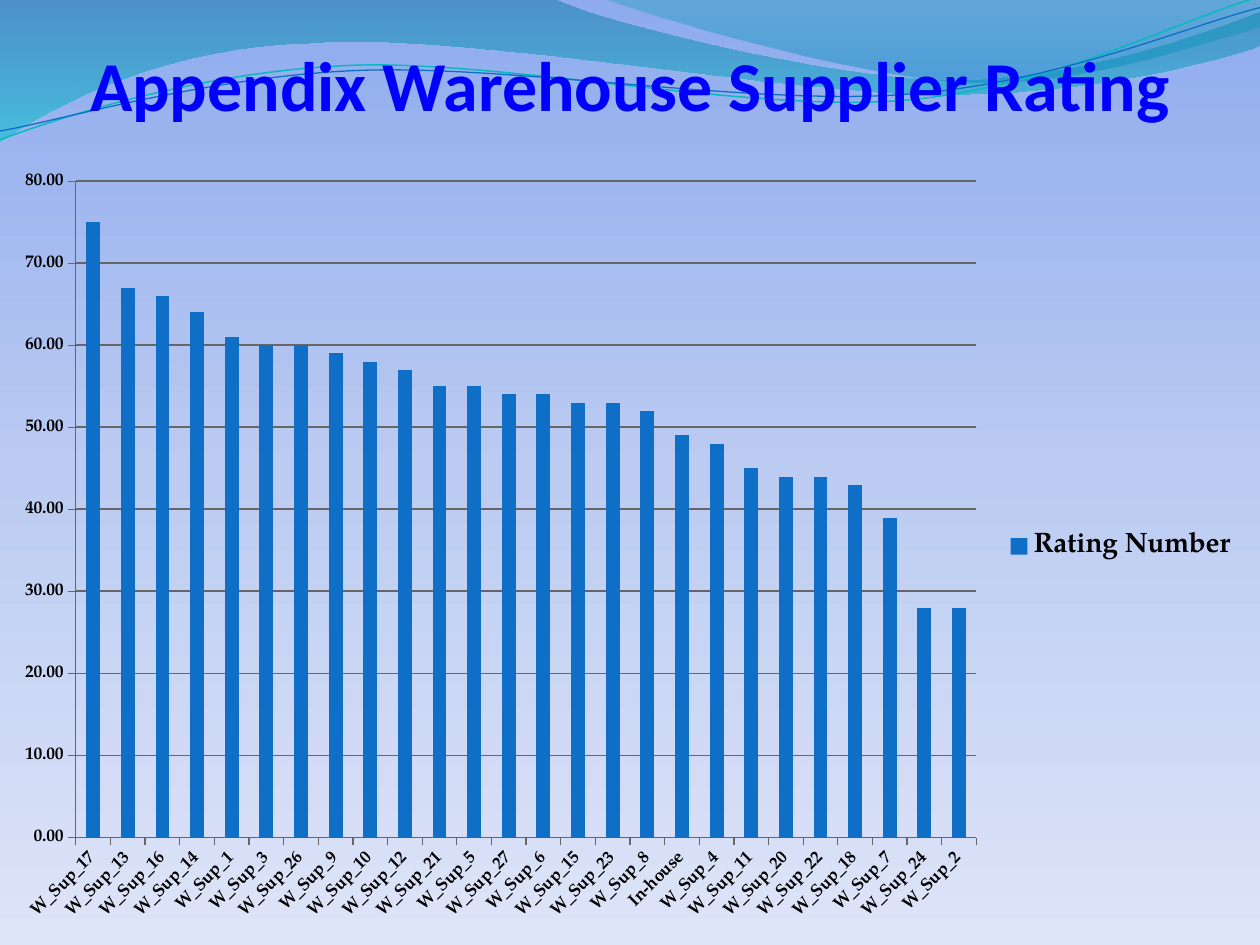
from lxml import etree
from pptx import Presentation
from pptx import util as u
from pptx.chart.data import CategoryChartData
from pptx.dml.color import RGBColor
from pptx.enum import chart as ch, text
from pptx.oxml.ns import qn

hex_color = RGBColor.from_string


def set_gradient(fill, element, stops):
    fill.gradient()
    fill.gradient_angle = 270
    stop_list = element.xpath(".//a:gsLst")[0]
    for old in list(stop_list):
        stop_list.remove(old)
    for position, color, opacity in stops:
        stop = etree.SubElement(stop_list, qn("a:gs"), pos=str(position * 1000))
        tint = etree.SubElement(stop, qn("a:srgbClr"), val=color)
        if opacity < 100:
            etree.SubElement(tint, qn("a:alpha"), val=str(opacity * 1000))


def add_wave(slide, start, segments, closed):
    points = [(u.Cm(x * 2.54), u.Cm(y * 2.54)) for segment in [start, *segments]
              for x, y in zip(segment[::2], segment[1::2])]
    builder = slide.shapes.build_freeform(*points[0])
    builder.add_line_segments(points[1:], close=closed)
    wave = builder.convert_to_shape()
    wave.shadow.inherit = False
    lines = iter(wave._element.xpath(".//a:lnTo"))
    for segment in segments:
        curve = next(lines)
        if len(segment) == 6:
            curve.tag = qn("a:cubicBezTo")
            for extra in (next(lines), next(lines)):
                curve.append(extra[0])
                extra.getparent().remove(extra)
    return wave


prs = Presentation()
prs.slide_width, prs.slide_height = u.Cm(25.4), u.Cm(19.05)
slide = prs.slides.add_slide(prs.slide_layouts[6])
set_gradient(slide.background.fill, slide._element,
             [(0, "8EABEE", 100), (50, "BBCBF2", 100), (100, "DEE5F8", 100)])

bands = [
    ((0, 0), [(4.4, -0.01), (4.76, 0.17, 6.64, 0.63, 7.58, 0.63),
              (8.53, 0.63, 9.58, 0.26, 10, 0.09), (10.01, 0.36),
              (9.83, 0.44, 8.7, 0.76, 7.46, 0.75), (6.22, 0.75, 3.82, 0.28, 2.57, 0.34),
              (1.29, 0.36, 0.46, 0.83, -0.01, 1.13), (0, 0)],
     [(0, "0074A1", 45), (100, "00C6CF", 55)]),
    ((4.79, -0.01), [(5.09, 0.11, 6.82, 0.62, 7.69, 0.65),
                     (8.56, 0.69, 9.61, 0.32, 10, 0.21), (10, 0), (4.79, -0.01)],
     [(0, "00A1A9", 30), (80, "008BBF", 45)]),
]
for start, segments, stops in bands:
    band = add_wave(slide, start, segments, True)
    set_gradient(band.fill, band._element, stops)
    band.line.fill.background()

strands = [
    ((0, 1.11), [(0.48, 0.93, 1.58, 0.57, 2.77, 0.52), (3.95, 0.47, 5.93, 0.89, 7.13, 0.8),
                 (8.33, 0.71, 9.38, 0.15, 9.98, -0.02)], "0AB8BF", 0.85),
    ((0, 1.04), [(0.47, 0.96, 1.64, 0.61, 2.83, 0.56), (4.03, 0.51, 5.97, 0.84, 7.17, 0.75),
                 (8.36, 0.67, 9.41, 0.21, 10, 0.06)], "0F6FC6", 0.75),
]
for start, segments, color, width in strands:
    strand = add_wave(slide, start, segments, False)
    strand.fill.background()
    strand.line.color.rgb = hex_color(color)
    strand.line.width = u.Pt(width)

title = slide.shapes.add_textbox(0, 0, u.Cm(25.4), u.Cm(2.54)).text_frame
title.word_wrap = True
title.vertical_anchor = text.MSO_ANCHOR.BOTTOM
title.margin_left = title.margin_right = title.margin_bottom = 0
title.text = "Appendix Warehouse Supplier Rating"
heading = title.paragraphs[0]
heading.alignment = text.PP_ALIGN.CENTER
heading_font = heading.runs[0].font
heading_font.name, heading_font.size, heading_font.bold = "Calibri", u.Pt(40), True
heading_font.color.rgb = hex_color("0000FF")

ratings = {
    "W_Sup_17": 75, "W_Sup_13": 67, "W_Sup_16": 66, "W_Sup_14": 64, "W_Sup_1": 61,
    "W_Sup_3": 60, "W_Sup_26": 60, "W_Sup_9": 59, "W_Sup_10": 58, "W_Sup_12": 57,
    "W_Sup_21": 55, "W_Sup_5": 55, "W_Sup_27": 54, "W_Sup_6": 54, "W_Sup_15": 53,
    "W_Sup_23": 53, "W_Sup_8": 52, "In-house": 49, "W_Sup_4": 48, "W_Sup_11": 45,
    "W_Sup_20": 44, "W_Sup_22": 44, "W_Sup_18": 43, "W_Sup_7": 39,
    "W_Sup_24": 28, "W_Sup_2": 28,
}
data = CategoryChartData(number_format="0.00")
data.categories = list(ratings)
data.add_series("Rating Number", list(ratings.values()))
chart = slide.shapes.add_chart(ch.XL_CHART_TYPE.COLUMN_CLUSTERED, 0, u.Cm(3.18),
                               u.Cm(25.2), u.Cm(15.67), data).chart
chart.has_title = False
chart.font.name, chart.font.size = "TeX Gyre Pagella", u.Pt(10)
chart.font.color.rgb = hex_color("000000")

plot = chart.plots[0]
plot.gap_width = 150
plot.vary_by_categories = False
bars = plot.series[0].format.fill
bars.solid()
bars.fore_color.rgb = hex_color("0F6FC6")

suppliers, scale = chart.category_axis, chart.value_axis
scale.minimum_scale, scale.maximum_scale, scale.major_unit = 0, 80, 10
scale.has_major_gridlines = True
scale.tick_labels.number_format = "0.00"
scale.tick_labels.number_format_is_linked = False
for axis in (suppliers, scale):
    axis.major_tick_mark = ch.XL_TICK_MARK.OUTSIDE
    axis.format.line.color.rgb = hex_color("666666")
    axis.format.line.width = u.Pt(0.75)
    label_font = axis.tick_labels.font
    label_font.name, label_font.size, label_font.bold = "TeX Gyre Pagella", u.Pt(10), True
    label_font.color.rgb = hex_color("000000")
scale.major_gridlines.format.line.color.rgb = hex_color("666666")
scale.major_gridlines.format.line.width = u.Pt(1)
suppliers._element.find(qn("c:txPr")).find(qn("a:bodyPr")).set("rot", "-2700000")

chart.has_legend = True
chart.legend.position = ch.XL_LEGEND_POSITION.RIGHT
chart.legend.include_in_layout = False
legend_font = chart.legend.font
legend_font.name, legend_font.size, legend_font.bold = "TeX Gyre Pagella", u.Pt(16), True
legend_font.color.rgb = hex_color("000000")

prs.save("out.pptx")
